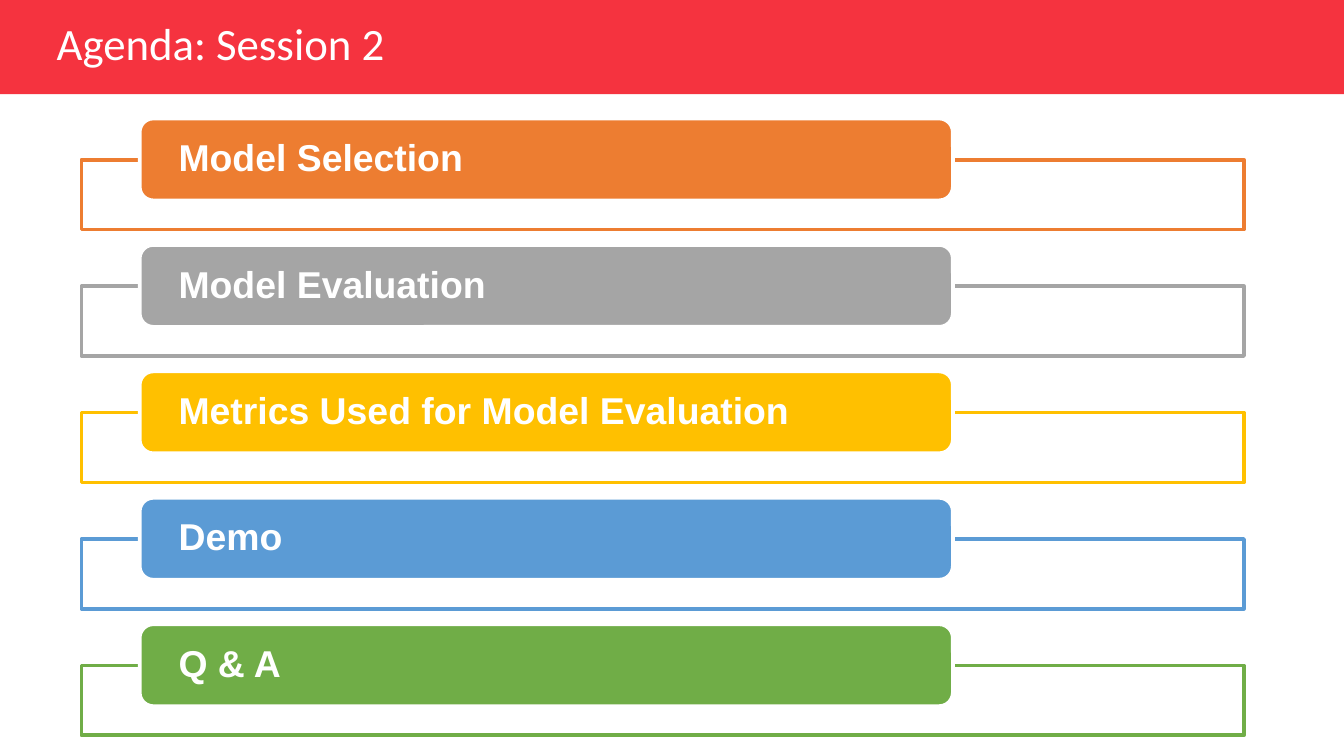
from lxml.etree import SubElement
from pptx import Presentation
from pptx.dml.color import RGBColor
from pptx.enum.shapes import MSO_SHAPE as Shape
from pptx.enum.text import MSO_ANCHOR as Anchor, PP_ALIGN as Align
from pptx.oxml.ns import qn
from pptx.util import Cm, Pt

AGENDA = [
    ("Model Selection", "ED7D31"),
    ("Model Evaluation", "A5A5A5"),
    ("Metrics Used for Model Evaluation", "FFC000"),
    ("Demo", "5B9BD5"),
    ("Q & A", "70AD47"),
]
FIRST_TOP, PITCH = 2.24, 2.39
FRAME_DROP = 0.78


def color(hex_code):
    return RGBColor.from_string(hex_code)


class AgendaSlide:
    WHITE, RED = "FFFFFF", "F5333F"
    LINE_WIDTH = Pt(2)

    def __init__(self, deck):
        self.slide = deck.slides.add_slide(deck.slide_layouts[5])

    def box(self, kind, left, top, width, height, fill, line=None):
        shape = self.slide.shapes.add_shape(
            kind, Cm(left), Cm(top), Cm(width), Cm(height))
        shape.shadow.inherit = False
        shape.fill.solid()
        shape.fill.fore_color.rgb = color(fill)
        if line:
            shape.line.color.rgb = color(line)
            shape.line.width = self.LINE_WIDTH
        else:
            shape.line.fill.background()
        return shape

    def add_text(self, shape, text, font, size, bold, side, edge):
        frame = shape.text_frame
        frame.word_wrap = True
        frame.vertical_anchor = Anchor.MIDDLE
        frame.margin_left = frame.margin_right = Cm(side)
        frame.margin_top = frame.margin_bottom = Cm(edge)
        paragraph = frame.paragraphs[0]
        paragraph.alignment = Align.LEFT
        paragraph.line_spacing = 0.9
        run = paragraph.add_run()
        run.text = text
        run.font.name, run.font.size, run.font.bold = font, Pt(size), bold
        run.font.color.rgb = color(self.WHITE)

    def banner(self):
        band = self.box(Shape.RECTANGLE, 0, 0, 25.4, 1.78, self.RED)
        # Send the band behind the title
        self.slide.shapes._spTree.insert(2, band._element)

    def title(self, text):
        title = self.slide.shapes.title
        title.left, title.top = Cm(0.89), Cm(0.33)
        title.width, title.height = Cm(10.39), Cm(1.07)
        self.add_text(title, text, "Calibri", 24, False, 0.18, 0.1)

    def frame(self, top, accent):
        frame = self.box(Shape.RECTANGLE, 1.54, top, 21.97, 1.32,
                         self.WHITE, accent)
        white = frame._element.spPr.find(qn("a:solidFill"))[0]
        SubElement(white, qn("a:alpha"), val="90000")

    def label(self, top, text, accent):
        label = self.box(Shape.ROUNDED_RECTANGLE, 2.64, top, 15.37, 1.55,
                         accent, self.WHITE)
        self.add_text(label, text, "Arial", 20, True, 0.66, 0)


def main():
    deck = Presentation()
    deck.slide_width, deck.slide_height = Cm(25.4), Cm(14.29)
    page = AgendaSlide(deck)

    # Header
    page.banner()
    page.title("Agenda: Session 2")

    # Agenda items
    for row, (topic, accent) in enumerate(AGENDA):
        top = FIRST_TOP + row * PITCH
        page.frame(top + FRAME_DROP, accent)
        page.label(top, topic, accent)

    deck.save("out.pptx")


if __name__ == "__main__":
    main()
